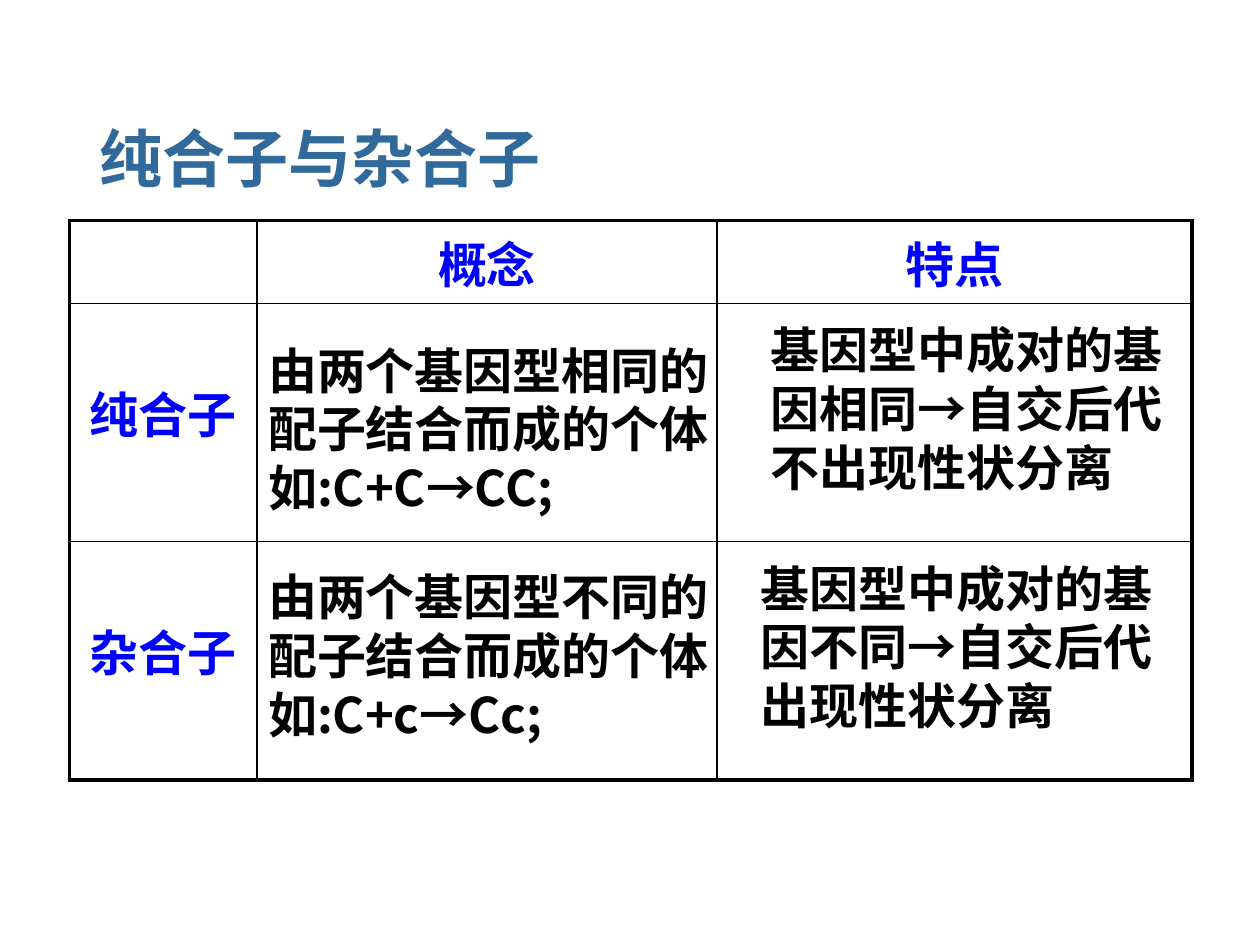
import pptx
import pptx.chart.data
import pptx.dml.color
import pptx.enum.text
import pptx.oxml
import pptx.oxml.ns
import pptx.util
from pptx.util import Inches

BLACK = "000000"
BLUE = "0000FF"
TITLE_BLUE = "31699A"
BODY_FONT = "Noto Sans CJK SC"


def color(value):
    return pptx.dml.color.RGBColor.from_string(value)


def add_run(paragraph, text, size, font, value):
    run = paragraph.add_run()
    run.text = text
    run.font.size = pptx.util.Pt(size)
    run.font.name = font
    run.font.bold = True
    run.font.color.rgb = color(value)


def add_text_box(slide, box):
    frame = slide.shapes.add_textbox(*map(Inches, box)).text_frame
    frame.word_wrap = True
    return frame


def add_title(slide, box):
    frame = add_text_box(slide, box)
    frame.vertical_anchor = pptx.enum.text.MSO_ANCHOR.MIDDLE
    paragraph = frame.paragraphs[0]
    paragraph.line_spacing = 0.9
    add_run(paragraph, "纯合子与杂合子", 36, "Arial", TITLE_BLUE)


def set_border(cell, side, width):
    namespace = pptx.oxml.ns.nsdecls("a")
    line = pptx.oxml.parse_xml(
        f'<a:ln{side} {namespace} w="{pptx.util.Pt(width)}"><a:solidFill>'
        f'<a:srgbClr val="{BLACK}"/></a:solidFill></a:ln{side}>'
    )
    properties = cell._tc.get_or_add_tcPr()
    properties.insert("LRTB".index(side), line)


def add_comparison_table(slide, box):
    labels = [["", "概念", "特点"], ["纯合子", "", ""], ["杂合子", "", ""]]
    table = slide.shapes.add_table(3, 3, *map(Inches, box)).table
    for column, width in zip(table.columns, (1.49, 3.65, 3.77)):
        column.width = Inches(width)
    for row, height in zip(table.rows, (0.66, 1.89, 1.89)):
        row.height = Inches(height)
    for row_index, row_labels in enumerate(labels):
        for column_index, label in enumerate(row_labels):
            cell = table.cell(row_index, column_index)
            cell.fill.background()
            outer = {
                "L": column_index == 0,
                "R": column_index == 2,
                "T": row_index == 0,
                "B": row_index == 2,
            }
            for side in "LRTB":
                set_border(cell, side, 2.25 if outer[side] else 1)
            if label:
                cell.margin_top = Inches(0.58 if row_index else 0.05)
                paragraph = cell.text_frame.paragraphs[0]
                paragraph.alignment = pptx.enum.text.PP_ALIGN.CENTER
                add_run(paragraph, label, 28, "Arial", BLUE)


def add_description(slide, box, text):
    paragraph = add_text_box(slide, box).paragraphs[0]
    add_run(paragraph, text, 28, BODY_FONT, BLACK)


def main():
    presentation = pptx.Presentation()
    presentation.slide_width = Inches(10)
    presentation.slide_height = Inches(7.5)
    slide = presentation.slides.add_slide(presentation.slide_layouts[6])
    add_title(slide, (0.69, 0.72, 8.62, 1.13))
    add_comparison_table(slide, (0.55, 1.75, 8.91, 4.44))
    descriptions = [
        (2.03, 2.65, 4.01, "由两个基因型相同的配子结合而成的个体如:C+C→CC;"),
        (2.03, 4.45, 4.01, "由两个基因型不同的配子结合而成的个体如:C+c→Cc;"),
        (6.02, 2.49, 3.62, "基因型中成对的基因相同→自交后代不出现性状分离"),
        (5.94, 4.38, 3.62, "基因型中成对的基因不同→自交后代出现性状分离"),
    ]
    for left, top, width, text in descriptions:
        add_description(slide, (left, top, width, 1.5), text)
    presentation.save("out.pptx")


if __name__ == "__main__":
    main()
